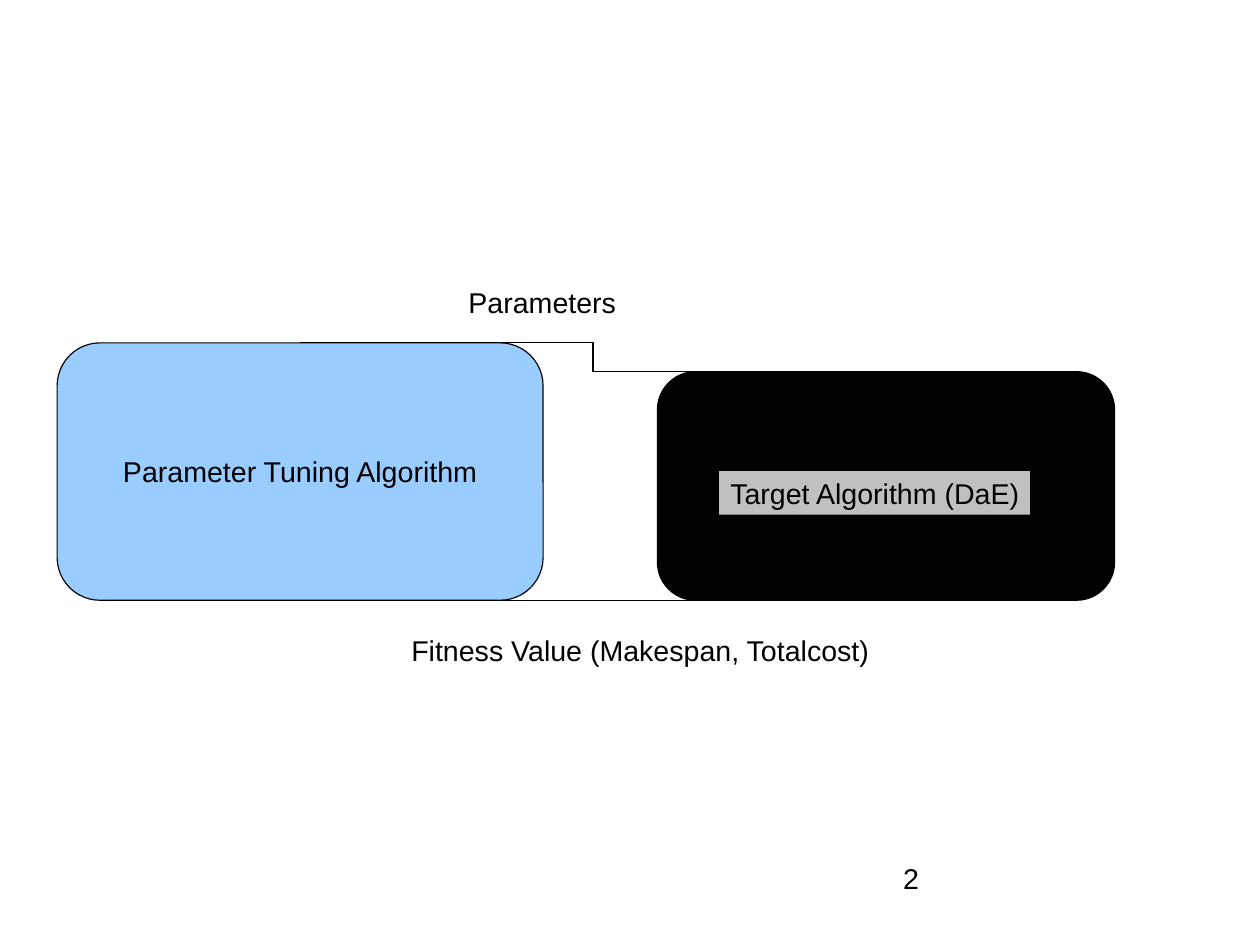
from lxml import etree
from pptx import Presentation
from pptx import util as u
from pptx.dml.color import RGBColor
from pptx.enum import shapes, text
from pptx.oxml import ns

BLACK = RGBColor(0x00, 0x00, 0x00)
BLUE = RGBColor(0x99, 0xCC, 0xFF)
GREY = RGBColor(0xC0, 0xC0, 0xC0)

INSETS = {"margin_left": u.Cm(0.25), "margin_top": u.Cm(0.18),
          "margin_right": u.Cm(0.25), "margin_bottom": u.Cm(0.13)}
NO_INSETS = dict.fromkeys(INSETS, 0)
LABEL = {**INSETS, "word_wrap": False, "auto_size": text.MSO_AUTO_SIZE.NONE,
         "vertical_anchor": text.MSO_ANCHOR.TOP}
CENTRED = {**LABEL, "vertical_anchor": text.MSO_ANCHOR.MIDDLE}
PAGE_NUMBER = {**LABEL, **NO_INSETS, "word_wrap": True}


def set_all(target, values):
    for name, value in values.items():
        setattr(target, name, value)


def write(shape, wording, frame_format, alignment=text.PP_ALIGN.LEFT):
    frame = shape.text_frame
    set_all(frame, frame_format)
    paragraph = frame.paragraphs[0]
    set_all(paragraph, {"alignment": alignment, "line_spacing": 0.93})
    run = paragraph.add_run()
    run.text = wording
    set_all(run.font, {"name": "Arial", "size": u.Pt(18)})
    run.font.color.rgb = BLACK


def add_box(slide, kind, box, fill, outlined=True):
    shape = slide.shapes.add_shape(kind, *map(u.Cm, box))
    shape.shadow.inherit = False
    shape.fill.solid()
    shape.fill.fore_color.rgb = fill
    if outlined:
        shape.line.color.rgb = BLACK
        shape.line.width = u.Pt(0.75)
    else:
        shape.line.fill.background()
    return shape


def add_label(slide, box, wording, frame_format=LABEL):
    write(slide.shapes.add_textbox(*map(u.Cm, box)), wording, frame_format)


def add_tuner(slide, box):
    tuner = add_box(slide, shapes.MSO_SHAPE.ROUNDED_RECTANGLE, box, BLUE)
    write(tuner, "Parameter Tuning Algorithm", CENTRED, text.PP_ALIGN.CENTER)
    return tuner


def add_target(slide, box):
    left, top, width, height = box
    target = add_box(slide, shapes.MSO_SHAPE.ROUNDED_RECTANGLE, box, BLACK)
    tag_box = (left + 1.37, top + 2.21, 6.91, 0.97)
    tag = add_box(slide, shapes.MSO_SHAPE.RECTANGLE, tag_box, GREY, outlined=False)
    write(tag, "Target Algorithm (DaE)", LABEL)
    return target


def edge_middle(shape, bottom):
    """Return the middle of the top or bottom edge."""
    return shape.left + shape.width // 2, shape.top + bottom * shape.height


def link(slide, start, end):
    connector = slide.shapes.add_connector(
        shapes.MSO_CONNECTOR.ELBOW, *start, *end)
    connector.line.color.rgb = BLACK
    connector.line.width = u.Pt(0.75)
    etree.SubElement(connector._element.spPr, ns.qn("a:effectLst"))


def add_tuning_loop(slide, box):
    left, top, width, height = box
    tuner = add_tuner(slide, (left, top, 10.8, height))
    target = add_target(slide, (left + width - 10.16, top + 0.64,
                                10.16, height - 0.64))
    link(slide, edge_middle(target, False), edge_middle(tuner, False))
    link(slide, edge_middle(tuner, True), edge_middle(target, True))
    add_label(slide, (left + 8.89, top - 1.4, 4.2, 0.97), "Parameters")
    add_label(slide, (left + 7.62, top + height + 0.62, 11.2, 1.27),
              "Fitness Value (Makespan, Totalcost)")


def main():
    presentation = Presentation()
    set_all(presentation, {"slide_width": u.Cm(28), "slide_height": u.Cm(21)})
    slide = presentation.slides.add_slide(presentation.slide_layouts[6])
    add_tuning_loop(slide, (1.27, 7.62, 23.5, 5.72))
    add_label(slide, (20.07, 19.19, 6.48, 1.4), "2", PAGE_NUMBER)
    presentation.save("out.pptx")


if __name__ == "__main__":
    main()
